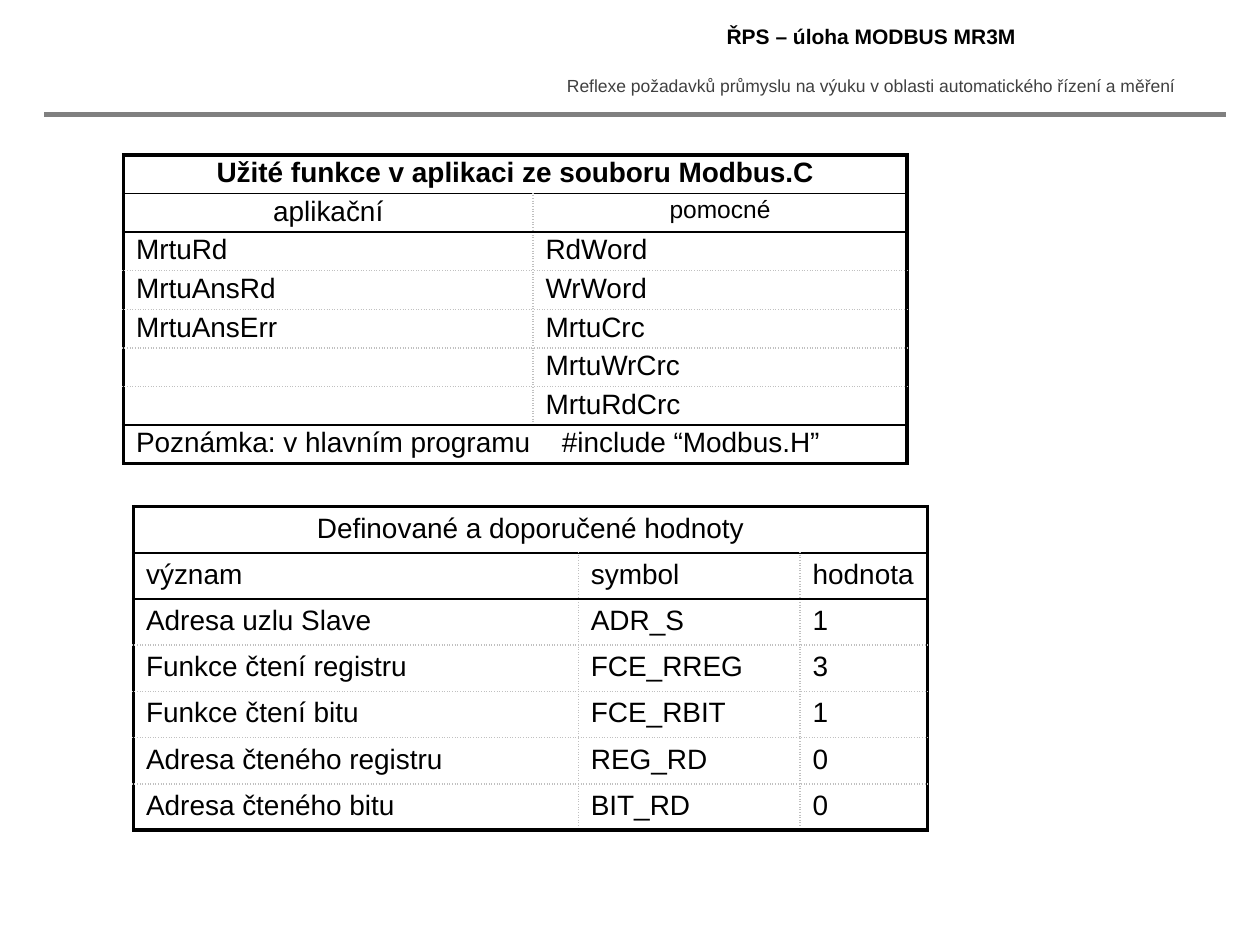
from dataclasses import dataclass
from typing import Any

from lxml import etree
from pptx import Presentation
from pptx import util as u
from pptx.dml.color import RGBColor
from pptx.enum import shapes, text
from pptx.oxml.ns import qn

THICK, THIN, DOTS = ("000000", 2.25, "solid"), ("000000", 1, "solid"), ("C0C0C0", 1, "sysDot")
MID = text.PP_ALIGN.CENTER


def hue(code):
    """Turn a hex string into a colour."""
    return RGBColor.from_string(code)


def unit(n):
    """Turn grid units, a hundred to the slide's width, into a length."""
    return u.Inches(n / 10)


@dataclass
class Deck:
    """Hold the style and the current slide."""
    slide: Any
    face: str = "Arial"
    ink: str = "000000"

    def words(self, para, line, size, align=None, bold=False, ink=None, tab=None):
        """Fill a paragraph with one styled run."""
        if tab:
            stops = etree.SubElement(para._p.get_or_add_pPr(), qn("a:tabLst"))
            etree.SubElement(stops, qn("a:tab"), pos=str(unit(tab)), algn="l")
        para.alignment = align
        if not line:
            para._p.get_or_add_endParaRPr().set("sz", str(size * 100))
            return
        run = para.add_run()
        run.text = line
        for key, val in {"name": self.face, "size": u.Pt(size), "bold": bold}.items():
            setattr(run.font, key, val)
        run.font.color.rgb = hue(ink or self.ink)

    def label(self, box, line, size, **look):
        """Add a centred text box."""
        frame = self.slide.shapes.add_textbox(*map(unit, box)).text_frame
        frame.word_wrap = True
        self.words(frame.paragraphs[0], line, size, MID, **look)

    def rule(self, left, right, top, ink, width):
        """Add a level line."""
        line = self.slide.shapes.add_connector(
            shapes.MSO_CONNECTOR.STRAIGHT, *map(unit, (left, top, right, top)))
        line.line.color.rgb = hue(ink)
        line.line.width = u.Pt(width)
        etree.SubElement(line._element.spPr, qn("a:effectLst"))

    def edge(self, cell, sides):
        """Draw the borders of a cell."""
        props = cell._tc.get_or_add_tcPr()
        for side, (ink, width, dash) in sides.items():
            line = etree.SubElement(props, qn("a:ln" + side), w=str(u.Pt(width)))
            fill = etree.SubElement(line, qn("a:solidFill"))
            etree.SubElement(fill, qn("a:srgbClr"), val=ink)
            etree.SubElement(line, qn("a:prstDash"), val=dash)

    def table(self, left, top, cols, high, rows, bars, pad, looks):
        """Add a framed table whose one-item rows span its width."""
        tall, wide = len(rows), len(cols)
        grid = self.slide.shapes.add_table(
            tall, wide, *map(unit, (left, top, sum(cols), high * tall))).table
        grid.first_row = grid.horz_banding = False
        for col, size in zip(grid.columns, cols):
            col.width = unit(size)
        lines = {n: THIN for n in bars} | {0: THICK, tall: THICK}
        for r, row in enumerate(rows):
            grid.rows[r].height = unit(high)
            span = len(row) == 1
            if span:
                grid.cell(r, 0).merge(grid.cell(r, wide - 1))
            for c in range(wide):
                cell = grid.cell(r, c)
                self.edge(cell, {
                    "L": THICK if span or c == 0 else DOTS,
                    "R": THICK if span or c == wide - 1 else DOTS,
                    "T": lines.get(r, DOTS), "B": lines.get(r + 1, DOTS)})
                cell.fill.background()
                cell.margin_top = cell.margin_bottom = unit(pad)
                if c < len(row):
                    look = {"size": 16} | looks.get((r, c), {})
                    self.words(cell.text_frame.paragraphs[0], row[c], **look)


def main():
    """Build the slide and save it."""
    show = Presentation()
    show.slide_width, show.slide_height = unit(100), unit(75)
    deck = Deck(show.slides.add_slide(show.slide_layouts[6]))
    deck.label((43, 5.5, 52.2, 2.7),
               "Reflexe požadavků průmyslu na výuku v oblasti automatického řízení a měření",
               10, ink="404040")
    deck.label((43, 1.4, 52.3, 3.1), "ŘPS – úloha MODBUS MR3M", 12, bold=True)
    deck.rule(3.5, 97.3, 9.1, "808080", 3)
    calls = [
        ["Užité funkce v aplikaci ze souboru Modbus.C"],
        ["aplikační", "pomocné"],
        ["MrtuRd", "RdWord"],
        ["MrtuAnsRd", "WrWord"],
        ["MrtuAnsErr", "MrtuCrc"],
        ["", "MrtuWrCrc"],
        ["", "MrtuRdCrc"],
        ["Poznámka: v hlavním programu\t#include “Modbus.H”"],
    ]
    deck.table(9.8, 12.3, (32.5, 29.7), 3.06, calls, (1, 2, 7), 0.2, {
        (0, 0): {"align": MID, "bold": True},
        (1, 0): {"align": MID},
        (1, 1): {"align": MID, "size": 14},
        (7, 0): {"tab": 33.8}})
    values = [
        ["Definované a doporučené hodnoty"],
        ["význam", "symbol", "hodnota"],
        ["Adresa uzlu Slave", "ADR_S", "1"],
        ["Funkce čtení registru", "FCE_RREG", "3"],
        ["Funkce čtení bitu", "FCE_RBIT", "1"],
        ["Adresa čteného registru", "REG_RD", "0"],
        ["Adresa čteného bitu", "BIT_RD", "0"],
    ]
    deck.table(10.6, 40.2, (35.3, 17.6, 10.1), 3.67, values, (1, 2), 0.5,
               {(0, 0): {"align": MID}})
    show.save("out.pptx")


if __name__ == "__main__":
    main()
